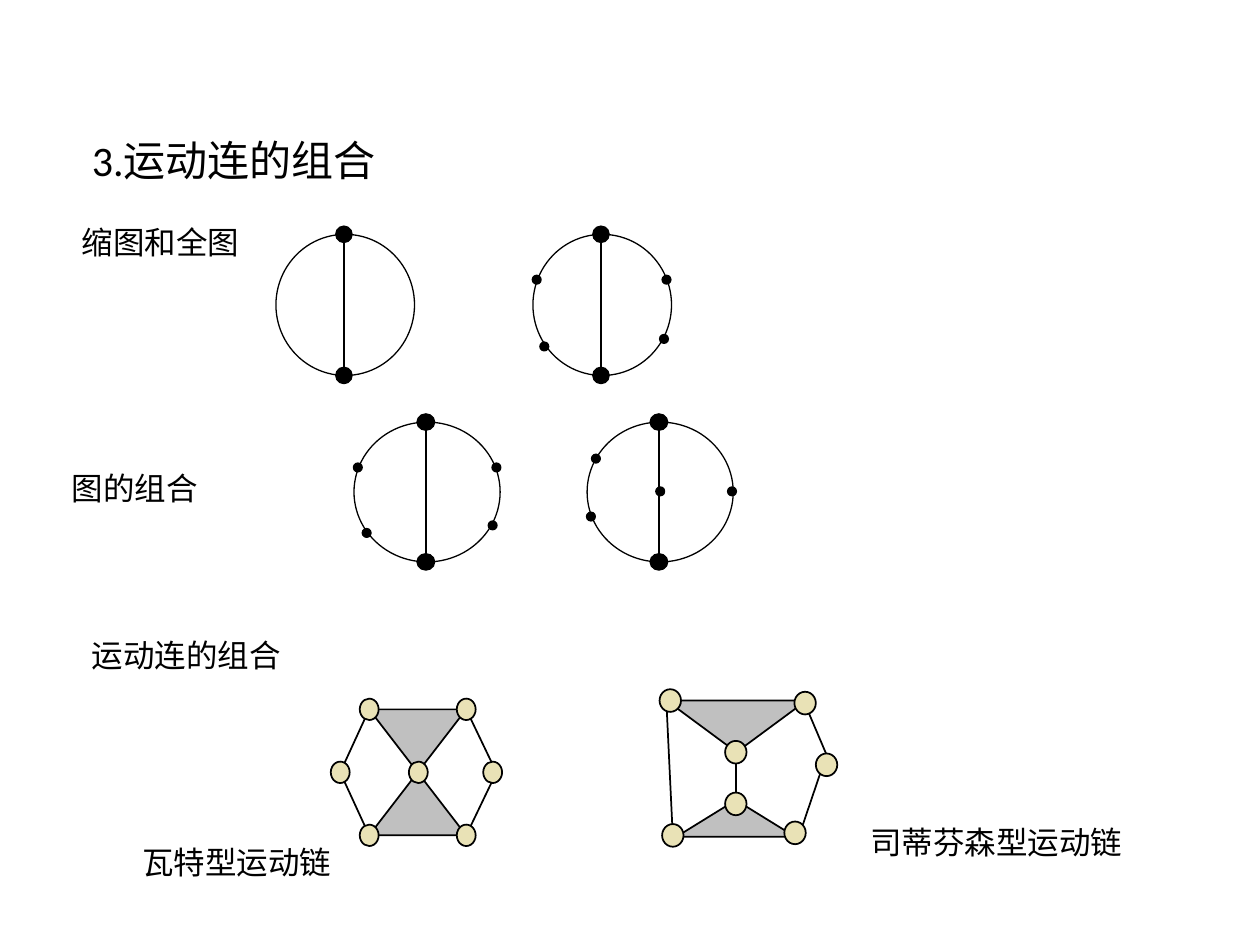
from lxml import etree
from pptx import Presentation
from pptx.dml.color import RGBColor
from pptx.enum.shapes import MSO_CONNECTOR, MSO_SHAPE
from pptx.enum.text import MSO_ANCHOR, MSO_AUTO_SIZE, PP_ALIGN
from pptx.oxml.ns import qn
from pptx.util import Inches, Pt

COLORS = {"ink": "000000", "paper": "FFFFFF", "link": "C0C0C0", "joint": "E9E2B6"}


def add_figure(group, kind, box, color, weight, rotation=0):
    """Add an outlined preset shape; box is left, top, width, height in inches."""
    shape = group.shapes.add_shape(kind, *[Inches(value) for value in box])
    shape.shadow.inherit = False
    shape.rotation = rotation
    shape.fill.solid()
    shape.fill.fore_color.rgb = RGBColor.from_string(COLORS[color])
    shape.line.color.rgb = RGBColor.from_string(COLORS["ink"])
    shape.line.width = Pt(weight)


def add_line(group, start, end, weight):
    points = [Inches(value) for value in (*start, *end)]
    line = group.shapes.add_connector(MSO_CONNECTOR.STRAIGHT, *points)
    line.line.color.rgb = RGBColor.from_string(COLORS["ink"])
    line.line.width = Pt(weight)
    etree.SubElement(line._element.spPr, qn("a:effectLst"))


presentation = Presentation()
presentation.slide_width, presentation.slide_height = Inches(10), Inches(7.5)
slide = presentation.slides.add_slide(presentation.slide_layouts[5])

# Title and labels: text, left, top, width, height, size, wrap
texts = [
    ("3.运动连的组合", 0.63, 1.02, 2.73, 0.5, 24, True),
    ("缩图和全图", 0.55, 1.72, 2.73, 0.4, 18, True),
    ("图的组合", 0.47, 3.67, 2.73, 0.4, 18, True),
    ("运动连的组合", 0.63, 5, 2.73, 0.4, 18, True),
    ("瓦特型运动链", 1.03, 6.64, 1.7, 0.4, 18, False),
    ("司蒂芬森型运动链", 6.81, 6.48, 2.2, 0.4, 18, False),
]
for index, (text, left, top, width, height, size, wrap) in enumerate(texts):
    box = slide.shapes.title if index == 0 else slide.shapes.add_textbox(0, 0, 0, 0)
    box.left, box.top = Inches(left), Inches(top)
    box.width, box.height = Inches(width), Inches(height)
    frame = box.text_frame
    frame.text = text
    frame.word_wrap = wrap
    frame.auto_size = MSO_AUTO_SIZE.SHAPE_TO_FIT_TEXT
    frame.vertical_anchor = MSO_ANCHOR.TOP
    paragraph = frame.paragraphs[0]
    paragraph.alignment = PP_ALIGN.LEFT
    font = paragraph.runs[0].font
    font.name, font.size = "Calibri", Pt(size)
    font.color.rgb = RGBColor.from_string(COLORS["ink"])

# Graph rows: top, width, height, chord offset, vertex width, then for each
# graph its left edge and the centres of its small vertices
graph_rows = [
    (1.86, 1.1, 1.12, 0.54, 0.13, [
        (2.19, []),
        (4.23, [(5.27, 2.69), (5.29, 2.22), (4.32, 2.75), (4.26, 2.22)]),
    ]),
    (3.35, 1.16, 1.11, 0.57, 0.14, [
        (2.81, [(3.91, 4.17), (3.94, 3.71), (2.91, 4.23), (2.84, 3.71)]),
        (4.66, [(5.81, 3.9), (5.24, 3.9), (4.69, 4.1), (4.73, 3.64)]),
    ]),
]
for top, width, height, chord, vertex, graphs in graph_rows:
    group = slide.shapes.add_group_shape()
    for left, small_vertices in graphs:
        x, bottom = left + chord, top + height
        add_figure(group, MSO_SHAPE.OVAL, (left, top, width, height), "paper", 0.75)
        add_line(group, (x, top), (x, bottom), 0.75)
        dots = [(x, top, vertex, 0.13), (x, bottom, vertex, 0.13)]
        dots += [(dot_x, dot_y, 0.07, 0.07) for dot_x, dot_y in small_vertices]
        for dot_x, dot_y, dot_width, dot_height in dots:
            dot = (dot_x - dot_width / 2, dot_y - dot_height / 2, dot_width, dot_height)
            add_figure(group, MSO_SHAPE.OVAL, dot, "ink", 0.75)

# Kinematic chains: triangular links, bars, joint centres and joint size
chains = [
    {
        "links": [
            (MSO_SHAPE.ISOSCELES_TRIANGLE, (2.93, 6.13, 0.77, 0.5), 0),
            (MSO_SHAPE.ISOSCELES_TRIANGLE, (2.93, 5.63, 0.77, 0.5), 180),
        ],
        "bars": [
            [(2.93, 5.63), (2.7, 6.13), (2.93, 6.63)],
            [(3.7, 5.63), (3.94, 6.13), (3.7, 6.63)],
        ],
        "joints": [(3.7, 5.63), (3.32, 6.13), (2.93, 5.63), (2.7, 6.13),
                   (2.93, 6.63), (3.7, 6.63), (3.91, 6.13)],
        "size": (0.15, 0.17),
    },
    {
        "links": [
            (MSO_SHAPE.FLOWCHART_MERGE, (5.29, 5.56, 1.11, 0.41), 0),
            (MSO_SHAPE.FLOWCHART_MERGE, (5.37, 6.35, 0.94, 0.29), 180),
        ],
        "bars": [
            [(5.84, 5.99), (5.84, 6.35)],
            [(5.29, 5.59), (5.34, 6.64)],
            [(6.39, 5.59), (6.56, 5.99), (6.34, 6.64)],
        ],
        "joints": [(5.32, 5.56), (5.84, 6.38), (5.84, 5.97), (6.31, 6.61),
                   (5.34, 6.63), (6.56, 6.07), (6.39, 5.58)],
        "size": (0.17, 0.18),
    },
]
for chain in chains:
    group = slide.shapes.add_group_shape()
    for kind, box, rotation in chain["links"]:
        add_figure(group, kind, box, "link", 1, rotation)
    for points in chain["bars"]:
        for start, end in zip(points, points[1:]):
            add_line(group, start, end, 1)
    width, height = chain["size"]
    for x, y in chain["joints"]:
        joint = (x - width / 2, y - height / 2, width, height)
        add_figure(group, MSO_SHAPE.OVAL, joint, "joint", 1)

presentation.save("out.pptx")
